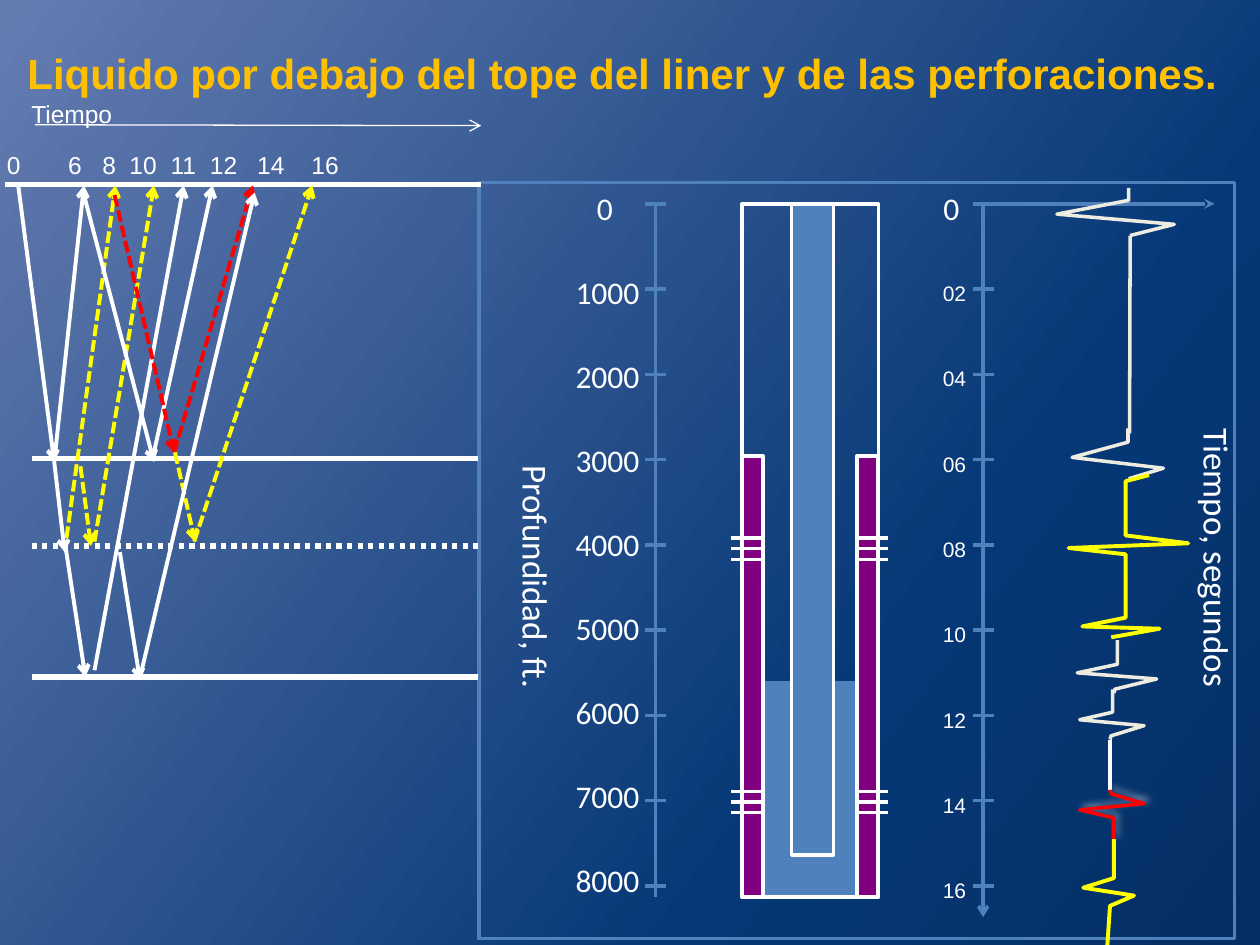
from copy import deepcopy
from lxml.etree import SubElement
from pptx import Presentation
from pptx.dml.color import RGBColor
from pptx.enum.dml import MSO_LINE
from pptx.enum.shapes import MSO_CONNECTOR, MSO_SHAPE
from pptx.oxml.ns import qn
from pptx.util import Pt

WHITE = RGBColor(0xFF, 0xFF, 0xFF)
BLUE = RGBColor(0x4F, 0x81, 0xBD)
PURPLE = RGBColor(0x80, 0x00, 0x80)
YELLOW = RGBColor(0xFF, 0xFF, 0x00)
RED = RGBColor(0xFF, 0x00, 0x00)
CREAM = RGBColor(0xEE, 0xEC, 0xE1)
GOLD = RGBColor(0xFF, 0xC0, 0x00)
BACKGROUND = [
    (0, RGBColor(0x05, 0x2F, 0x64)),
    (0.3, RGBColor(0x06, 0x38, 0x77)),
    (1, RGBColor(0x65, 0x7C, 0xB1)),
]

prs = Presentation()
prs.slide_width, prs.slide_height = Pt(720), Pt(540)
s = prs.slides.add_slide(prs.slide_layouts[6])

fill = s.background.fill
fill.gradient()
fill.gradient_angle = 143
first_stop = s.element.xpath(".//a:gs")[0]
first_stop.addnext(deepcopy(first_stop))
for stop, (position, color) in zip(fill.gradient_stops, BACKGROUND):
    stop.position = position
    stop.color.rgb = color


def add_line(x1, y1, x2, y2, color=WHITE, width=2.25, dash=None, arrow=None):
    c = s.shapes.add_connector(MSO_CONNECTOR.STRAIGHT, Pt(x1), Pt(y1), Pt(x2), Pt(y2))
    c.line.color.rgb = color
    c.line.width = Pt(width)
    if dash:
        c.line.dash_style = dash
    if arrow:
        SubElement(c.line._get_or_add_ln(), qn("a:tailEnd"), type=arrow)
    SubElement(c._element.spPr, qn("a:effectLst"))


def add_text(text, x, y, w, h, size, font="Arial", color=WHITE, wrap=False, indent=0):
    tb = s.shapes.add_textbox(Pt(x), Pt(y), Pt(w), Pt(h))
    tf = tb.text_frame
    tf.word_wrap = wrap
    p = tf.paragraphs[0]
    p.text = text
    p.font.size = Pt(size)
    p.font.name = font
    p.font.color.rgb = color
    if indent:
        p._p.get_or_add_pPr().set("marL", str(Pt(indent)))
    return tb


for x, y, w, h, color, outline in [
    (424, 390.2, 73.5, 121.8, BLUE, BLUE),
    (273.6, 104.4, 432, 432, None, BLUE),
    (424, 116.5, 78, 396, None, WHITE),
    (452.4, 116.5, 24, 372, BLUE, WHITE),
    (424, 260.5, 12, 252, PURPLE, WHITE),
    (489.8, 260.5, 12, 252, PURPLE, WHITE),
]:
    sp = s.shapes.add_shape(MSO_SHAPE.RECTANGLE, Pt(x), Pt(y), Pt(w), Pt(h))
    sp.shadow.inherit = False
    if color:
        sp.fill.solid()
        sp.fill.fore_color.rgb = color
    else:
        sp.fill.background()
    sp.line.color.rgb = outline
    sp.line.width = Pt(2)

for x, bottom, arrow in [(374.6, 512.5, None), (561.8, 524, "arrow")]:
    add_line(x, 116.5, x, bottom, BLUE, 2, arrow=arrow)
    for i in range(9):
        y = 116.5 + 48.72 * i
        add_line(x - 6, y, x + 6, y, BLUE, 2)
add_line(561.8, 116.5, 694, 116.5, BLUE, 2, arrow="stealth")

for x in (417.6, 489.6):
    for top in (307.4, 452.2):
        for i in range(3):
            y = top + 6.1 * i
            add_line(x, y, x + 18, y, WHITE, 2)

for text, x, y, w in [("Profundidad, ft.", 209.5, 303.8, 193.7), ("Tiempo, segundos", 587.5, 293.8, 216)]:
    add_text(text, x, y, w, 31.7, 20, "Calibri", wrap=True, indent=36).rotation = 90

for x in (298, 496):
    add_text("0", x, 104.4, 60, 24.5, 18, "Calibri", wrap=True, indent=36)
for i in range(1, 9):
    add_text(str(1000 * i), 285.8, 104.4 + 48 * i, 90, 24.5, 18, "Calibri", wrap=True, indent=36)
    tb = add_text(f"{2 * i:02d}", 531.7, 100.8 + 48.75 * i, 28, 26.6, 12)
    tb.text_frame.paragraphs[0].line_spacing = 1.5

title = add_text("Liquido por debajo del tope del liner y de las perforaciones.", 8.6, 23.8, 700, 36, 24, color=GOLD, wrap=True)
title.text_frame.paragraphs[0].font.bold = True
add_text("Tiempo", 10.8, 53.3, 61, 24.5, 14)
add_line(20, 71.3, 275, 71.8, WHITE, 0.75, arrow="arrow")

tb = add_text("0\t6\t8\t10\t11\t12\t14\t16", 0, 82, 202, 24.5, 14)
tb.text_frame.margin_left = Pt(4)
tabs = SubElement(tb.text_frame.paragraphs[0]._p.get_or_add_pPr(), qn("a:tabLst"))
tabs.getparent().insert(0, tabs)
for x in (35, 54.5, 70, 93.5, 116, 143, 174):
    SubElement(tabs, qn("a:tab"), pos=str(Pt(x)), algn="l")

for x1, x2, y, dash in [
    (18, 273, 262, None),
    (18, 273, 386.8, None),
    (18, 273, 312, MSO_LINE.ROUND_DOT),
    (2.9, 275, 105.6, None),
]:
    add_line(x1, y, x2, y, WHITE, 3, dash)

for x1, y1, x2, y2, color in [
    (10.5, 106.5, 31, 264, WHITE),
    (31, 264, 48, 106, WHITE),
    (38, 307.5, 66, 106, YELLOW),
    (31, 264, 37, 315.5, WHITE),
    (37, 309.5, 48.8, 386.8, WHITE),
    (54, 383, 105, 106, WHITE),
    (46, 266.5, 52, 312, YELLOW),
    (54, 309.5, 88, 106, YELLOW),
    (48, 111.5, 88, 264, WHITE),
    (88, 258.5, 121.5, 106, WHITE),
    (65.5, 111.5, 99.5, 258.5, RED),
    (99.5, 258.5, 144.5, 106, RED),
    (100, 258.5, 111.5, 309.5, YELLOW),
    (111, 309.5, 178.5, 106, YELLOW),
    (68.5, 315.5, 80, 388.8, WHITE),
    (81, 383, 145.5, 110, WHITE),
]:
    dash = None if color == WHITE else MSO_LINE.SQUARE_DOT
    add_line(x1, y1, x2, y2, color, 2.25, dash, "arrow")

add_line(645.8, 134.6, 645.5, 247.7, CREAM, 2)
add_line(634.3, 422.6, 634.3, 451.4)

for color, width, points in [
    (CREAM, 2, [(645, 107.3), (645, 114.5), (604, 122.4), (671, 128.2), (645.8, 134.6)]),
    (CREAM, 2, [(644.6, 244.8), (644.6, 252.7), (612.7, 261.4), (664.8, 267.6), (645, 273.6)]),
    (YELLOW, 2.25, [(656.6, 271.5), (643.2, 275), (643.2, 306), (679, 310.5), (610.6, 313.2),
                    (643.2, 316.8), (643.2, 353), (618.5, 358), (662.6, 359.3), (635, 364.2)]),
    (CREAM, 2, [(638.6, 365.8), (638.6, 379.6), (615.6, 384.5), (661, 388), (637.2, 393.8), (636.5, 396)]),
    (CREAM, 2, [(635.8, 394), (635.8, 407), (617, 411.3), (653.8, 414.7), (635, 420.5), (634.3, 422.6)]),
    (RED, 2, [(636.3, 480), (636.3, 467.3), (617, 462.8), (653.8, 459.2), (635, 453.6), (634.3, 451.4)]),
    (YELLOW, 2.25, [(636.5, 479.5), (636.5, 501.8), (619, 507.3), (648, 511.8), (634.3, 517.7), (632.8, 540)]),
]:
    start, *rest = [(Pt(x), Pt(y)) for x, y in points]
    fb = s.shapes.build_freeform(*start)
    fb.add_line_segments(rest, close=False)
    sp = fb.convert_to_shape()
    sp.shadow.inherit = False
    sp.fill.background()
    sp.line.color.rgb = color
    sp.line.width = Pt(width)
    if color == RED:
        effects = sp._element.spPr.find(qn("a:effectLst"))
        glow = SubElement(effects, qn("a:outerShdw"), blurRad=str(Pt(4)), dist=str(Pt(3)), dir="18900000")
        tint = SubElement(glow, qn("a:srgbClr"), val=str(WHITE))
        SubElement(tint, qn("a:alpha"), val="40000")

prs.save("out.pptx")
